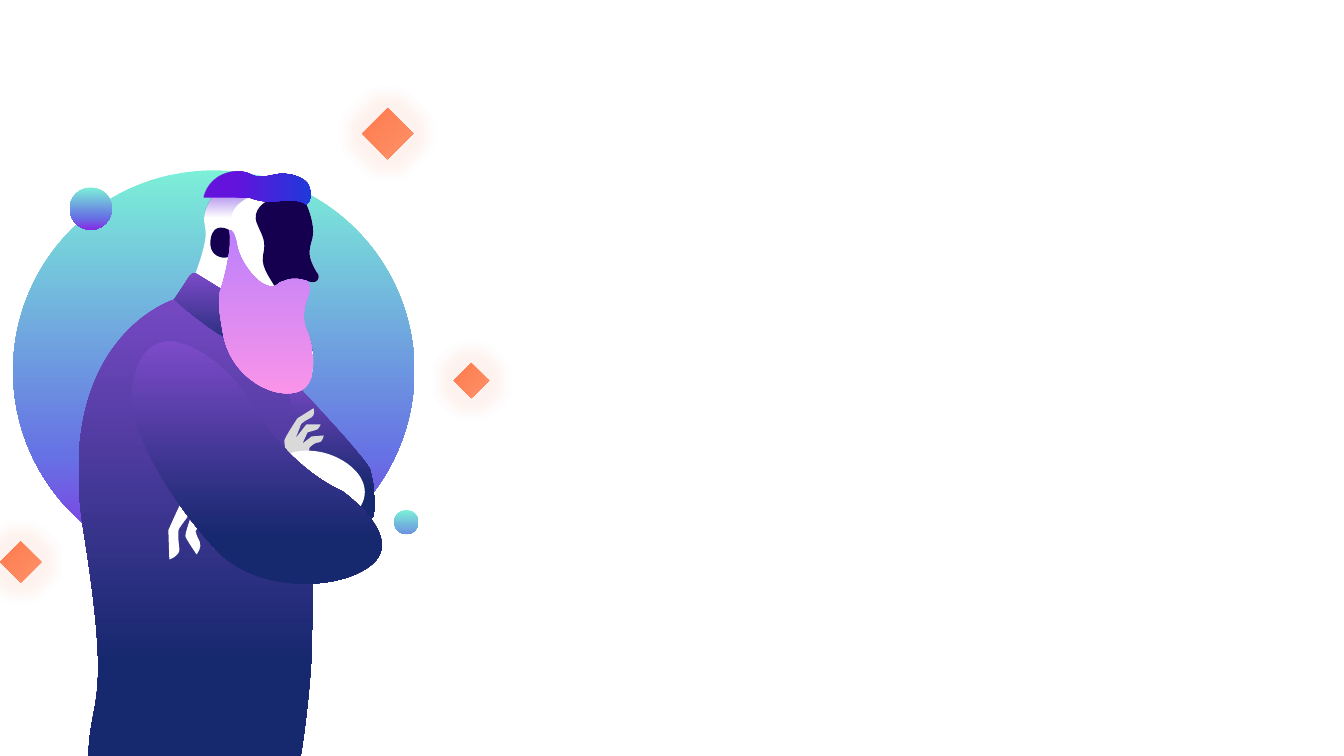
from pptx import Presentation
from pptx.dml.color import RGBColor
from pptx.enum.shapes import MSO_SHAPE as Preset
from pptx.oxml import parse_xml
from pptx.oxml.ns import nsdecls, qn
from pptx.util import Emu, Inches, Pt

AQUA = RGBColor(0x7C, 0xEF, 0xD8)
BLUE = RGBColor(0x66, 0x72, 0xE4)
SKY = RGBColor(0x6C, 0x92, 0xE1)
VIOLET = RGBColor(0x88, 0x2B, 0xE5)
PURPLE = RGBColor(0x7D, 0x4B, 0xC9)
NAVY = RGBColor(0x16, 0x28, 0x6E)
SHADE = RGBColor(0x65, 0x24, 0xDE)
INK = RGBColor(0x15, 0x00, 0x4F)
LILAC = RGBColor(0xBB, 0x7F, 0xFB)
PINK = RGBColor(0xFB, 0x95, 0xE9)
CAP_VIOLET = RGBColor(0x63, 0x13, 0xDC)
CAP_BLUE = RGBColor(0x1E, 0x3A, 0xDA)
WHITE = RGBColor(0xFF, 0xFF, 0xFF)
GREY = RGBColor(0xD9, 0xD9, 0xD9)
PEACH = RGBColor(0xFE, 0x91, 0x6A)
ORANGE = RGBColor(0xFE, 0x7B, 0x4C)

# Gradient stops: position, colour, opacity (all in percent)
BALL = [(0, AQUA, 100), (71, BLUE, 100), (100, VIOLET, 100)]
SMALL_BALL = [(0, AQUA, 100), (100, SKY, 100)]
CLOTH = [(0, PURPLE, 100), (78, NAVY, 100)]
COLLAR = [(0, PURPLE, 100), (100, NAVY, 100)]
FOREHEAD = [(0, SHADE, 100), (76, SHADE, 0)]
BEARD = [(0, LILAC, 100), (100, PINK, 100)]
CAP = [(28, CAP_VIOLET, 100), (100, CAP_BLUE, 100)]
GEM = [(0, PEACH, 100), (100, ORANGE, 100)]

DOWN = '<a:lin ang="5400000" scaled="0"/>'
ACROSS = '<a:lin ang="0" scaled="0"/>'
CORNER = '<a:path path="circle"><a:fillToRect l="100000" t="100000"/></a:path>'

GRID_COLUMNS = 1333

# Outlines on the grid: segments split by "|". One point is a line, three are
# a curve, two are a curve whose first control is the segment's start.
CROWN = """202,196 | 206,173 233,170 | 241,169 249,173 | 256,177 264,175 274,173
    | 283,171 299,174 305,182"""
FAR_ARM = """299,387 | 363,455 367,466 | 370,477 377,512 367,515
    | 356,519 285,513 264,451 | 242,390 250,370 255,369 | 260,368 284,372 299,387"""
HEAD = f"""305,279 | 308,284 307,289 | 305,294 297,311 304,327
    | 306,332 309,339 310,348 | 312,365 310,385 293,389 | 269,396 227,372 220,329
    | 218,313 217,303 217,297 | 217,287 219,287 | 194,271 | 205,242 204,230
    | 203,219 199,215 210,196 | {CROWN} | 306,185 307,187 307,189
    | 307,190 308,191 308,192 | 308,197 306,201 304,203 | 313,222 310,236
    | 306,250 305,254 314,270 | 319,274 314,279 | 311,281 305,279"""
BROW = f"""308,192 | 295,192 276,193 247,196 | 230,202 229,219 | 215,211 204,231
    | 203,219 199,215 210,196 | {CROWN} | 306,185 307,187 307,189
    | 307,190 308,191 308,192"""
FACE = """305,279 | 308,284 307,289 | 305,294 297,311 304,327
    | 306,332 309,339 310,348 | 288,360 276,296 274,288 | 272,280 258,267 261,253
    | 264,239 261,236 255,222 | 249,208 264,200 264,200 | 278,178 291,187 297,186
    | 299,186 303,187 307,189 | 309,195 307,200 304,203 | 313,222 310,236
    | 306,250 305,254 314,270 | 319,274 314,279 | 311,281 305,279"""
NECK = "181,285 186,277 | 190,269 194,271 | 255,309 | 262,323 268,338 274,353"
TORSO = f"""295,768 | 88,768 | 85,684 114,721 83,527 | 52,334 173,297 173,297
    | {NECK} | 342,540 295,768 295,768"""
COLLAR_EDGE = f"274,353 | 233,353 173,297 173,297 | {NECK}"
EAR = "227,228 | 212,219 209,237 | 206,255 222,257 226,255 | 233,241 227,228"
BEARD_EDGE = """294,389 | 269,396 227,372 221,329 | 218,313 217,303 217,297
    | 218,292 218,288 219,287 | 232,246 227,228 | 232,225 235,242
    | 237,258 253,279 264,283 | 274,287 275,281 278,280 | 281,280 288,273 305,279
    | 308,284 307,289 | 306,294 297,311 304,327 | 311,343 318,383 294,389"""
CAP_EDGE = f"""304,203 | 297,197 282,199 271,200 | 260,201 247,196 247,196
    | {CROWN} | 310,191 308,200 304,203"""
NEAR_HAND = """238,463 | 190,485 185,489 | 181,494 167,526 167,526 | 168,555
    | 178,552 178,545 | 177,538 176,525 178,524 | 179,522 192,505 192,505
    | 183,530 184,532 | 184,534 195,550 195,550 | 201,543 198,537
    | 195,532 194,527 194,527 | 204,510 | 203,528 | 212,544 | 220,537 217,532
    | 213,528 215,516 215,516 | 244,490 | 238,463"""
FAR_HAND = """287,474 | 282,441 282,437 | 283,433 295,415 295,415 | 311,405
    | 313,412 309,414 | 305,416 298,420 298,422 | 298,423 293,435 293,435
    | 303,422 304,421 | 306,421 318,421 318,421 | 316,427 312,427
    | 308,428 305,429 305,429 | 300,440 | 309,433 | 321,432 | 320,439 316,439
    | 313,438 307,444 307,444 | 303,468 | 287,474"""
CUFF = """288,453 | 313,442 342,457 | 379,477 359,509 346,511
    | 328,513 287,485 278,483 | 268,482 264,463 288,453"""
NEAR_ARM = """169,338 | 213,341 252,404 | 290,468 339,487 339,487
    | 401,531 370,559 | 340,586 258,589 217,548 | 176,506 128,429 131,393
    | 134,356 146,340 169,338"""

# Back to front: outline, fill, gradient direction, rotation
FIGURE = [
    (FAR_ARM, CLOTH, DOWN, 0), (HEAD, WHITE, None, 0), (BROW, FOREHEAD, DOWN, 0),
    (FACE, INK, None, 0), (TORSO, CLOTH, DOWN, 0), (COLLAR_EDGE, COLLAR, DOWN, 0),
    (EAR, INK, None, 0), (BEARD_EDGE, BEARD, DOWN, 0), (CAP_EDGE, CAP, ACROSS, 0),
    (NEAR_HAND, WHITE, None, 0), (FAR_HAND, GREY, None, 0), (CUFF, WHITE, None, 8.1),
    (NEAR_ARM, CLOTH, DOWN, 0),
]
# Left, top, size on the grid
DISC = (13, 169, 398)
BALLS = [((69, 186, 42), BALL), ((391, 506, 24), SMALL_BALL)]
GEMS = [(0, 537, 41), (450, 360, 35), (359, 107, 51)]


def paint(shape, fill, direction=None):
    """Fill a shape with a colour or with gradient stops, without outline."""
    shape.shadow.inherit = False
    shape.line.fill.background()
    if direction is None:
        shape.fill.solid()
        shape.fill.fore_color.rgb = fill
        return
    stops = "".join(
        f'<a:gs pos="{position * 1000}"><a:srgbClr val="{color}">'
        f'<a:alpha val="{opacity * 1000}"/></a:srgbClr></a:gs>'
        for position, color, opacity in fill)
    gradient = parse_xml(f'<a:gradFill {nsdecls("a")} rotWithShape="1">'
                         f'<a:gsLst>{stops}</a:gsLst>{direction}</a:gradFill>')
    shape.fill.background()
    properties = shape._element.spPr
    properties.replace(properties.find(qn("a:noFill")), gradient)


def add_glow(shape, color, radius, opacity):
    effects = shape._element.spPr.find(qn("a:effectLst"))
    effects.append(parse_xml(
        f'<a:glow {nsdecls("a")} rad="{radius}"><a:srgbClr val="{color}">'
        f'<a:alpha val="{opacity * 1000}"/></a:srgbClr></a:glow>'))


def add_outline(shapes, box, outline):
    """Build a freeform, then join the points of each curve into one Bezier."""
    left, top, unit = box
    start, *segments = [
        [tuple(int(number) * unit for number in pair.split(",")) for pair in segment.split()]
        for segment in outline.split("|")]
    end = start[0]
    builder = shapes.build_freeform(*end)
    for segment in segments:
        if len(segment) == 2:
            segment.insert(0, end)
        builder.add_line_segments(segment, close=segment is segments[-1])
        end = segment[-1]
    shape = builder.convert_to_shape(left, top)
    lines = iter(list(shape._element.iter(qn("a:lnTo"))))
    for segment in segments:
        first, *others = [next(lines) for _ in segment]
        if others:
            curve = parse_xml(f'<a:cubicBezTo {nsdecls("a")}/>')
            first.addprevious(curve)
            for line in (first, *others):
                curve.append(line[0])
                line.getparent().remove(line)
    return shape


def add_preset(shapes, preset, box, place):
    left, top, unit = box
    x, y, size = place
    return shapes.add_shape(preset, Emu(round(left + x * unit)), Emu(round(top + y * unit)),
                            Emu(round(size * unit)), Emu(round(size * unit)))


def draw_figure(shapes, box):
    """Bearded man with folded arms."""
    for outline, fill, direction, rotation in FIGURE:
        shape = add_outline(shapes, box, outline)
        shape.rotation = rotation
        paint(shape, fill, direction)


def draw_ornaments(shapes, box):
    """Floating balls and glowing gems."""
    for place, fill in BALLS:
        paint(add_preset(shapes, Preset.OVAL, box, place), fill, DOWN)
    for place in GEMS:
        gem = add_preset(shapes, Preset.DIAMOND, box, place)
        paint(gem, GEM, CORNER)
        add_glow(gem, ORANGE, Pt(18), 10)


def main():
    presentation = Presentation()
    presentation.slide_width = Inches(13.33)
    presentation.slide_height = Inches(7.5)
    slide = presentation.slides.add_slide(presentation.slide_layouts[6])
    box = (0, 0, presentation.slide_width / GRID_COLUMNS)
    shapes = slide.shapes.add_group_shape().shapes
    paint(add_preset(shapes, Preset.OVAL, box, DISC), BALL, DOWN)
    draw_figure(shapes, box)
    draw_ornaments(shapes, box)
    presentation.save("out.pptx")


if __name__ == "__main__":
    main()
